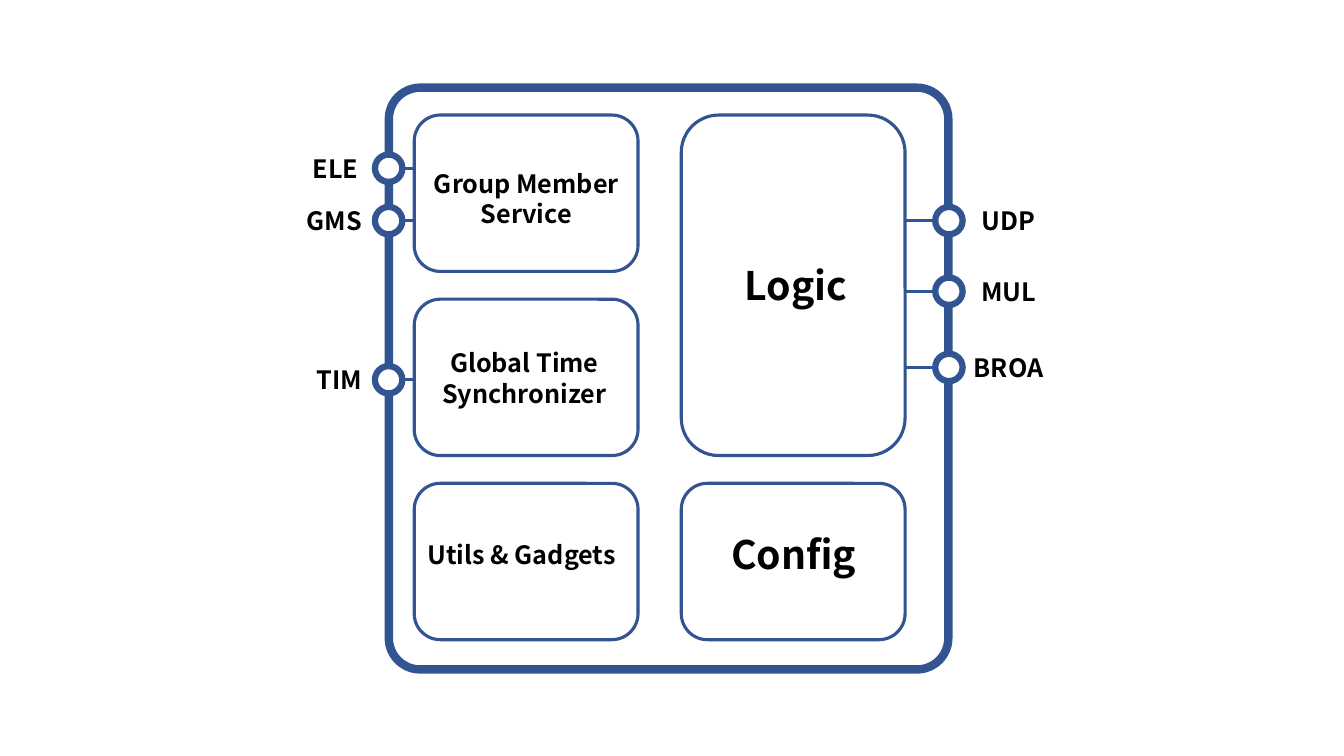
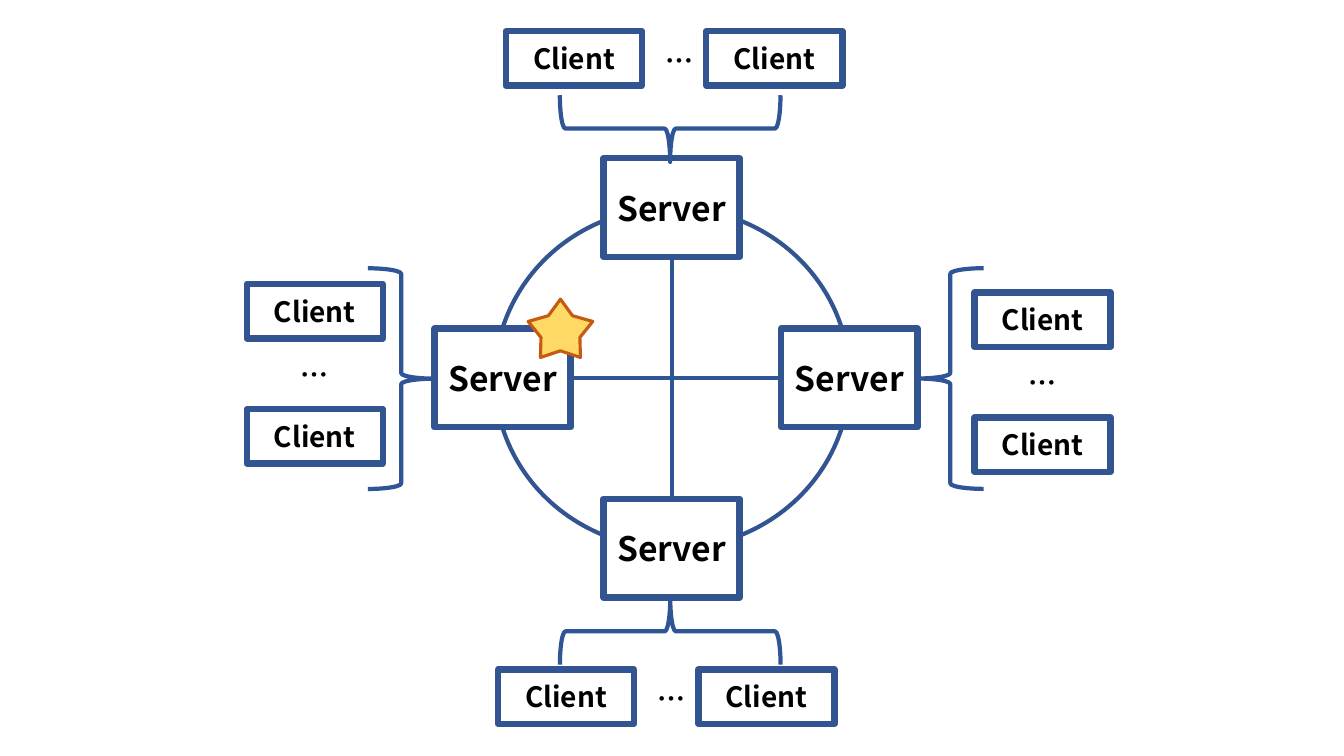
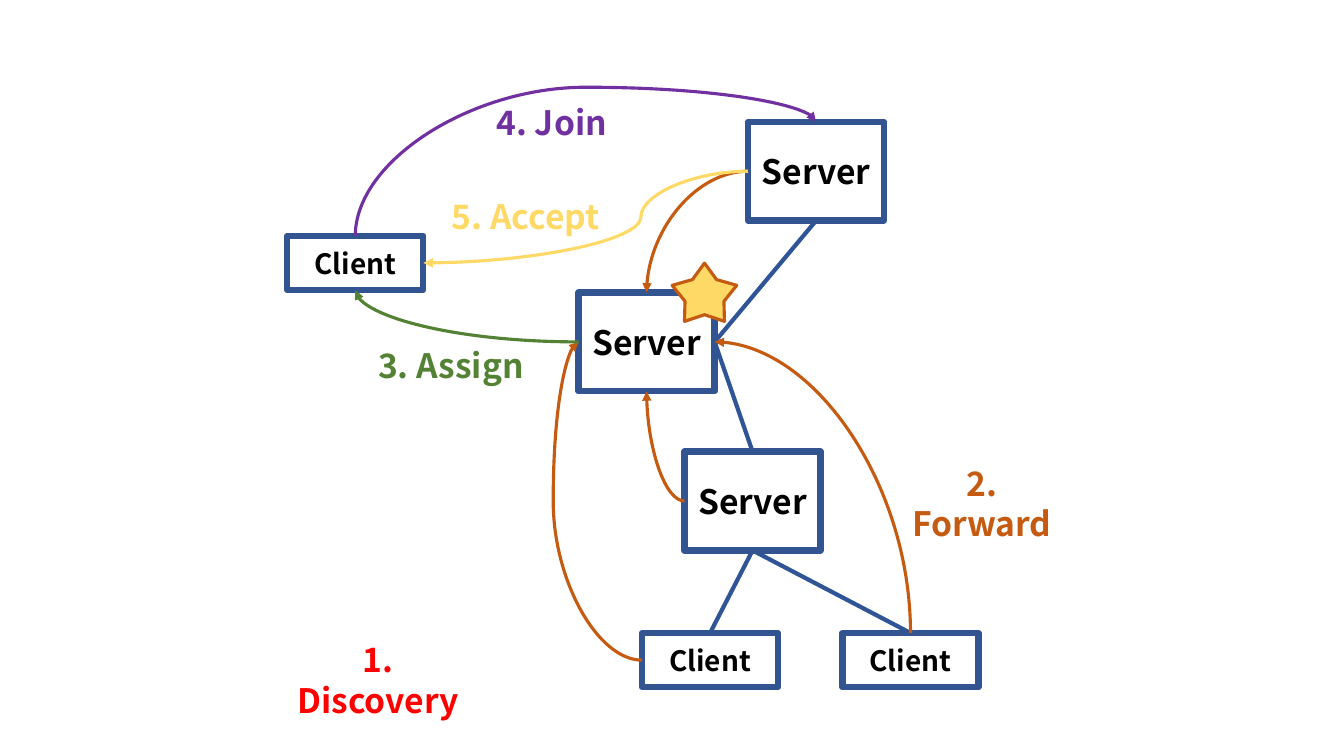
from dataclasses import dataclass
from typing import NamedTuple, Optional

from pptx import Presentation
from pptx.dml.color import RGBColor
from pptx.enum.shapes import MSO_AUTO_SHAPE_TYPE as Kind, MSO_CONNECTOR as Link
from pptx.enum.text import MSO_ANCHOR as Anchor, MSO_AUTO_SIZE as AutoSize, PP_ALIGN as Align
from pptx.oxml.ns import qn
from pptx.oxml.xmlchemy import OxmlElement
from pptx.shapes.autoshape import Shape
from pptx.shapes.connector import Connector
from pptx.slide import Slide
from pptx.util import Cm, Pt


@dataclass(frozen=True)
class Theme:
    font: str = "Noto Sans CJK SC"
    outline: str = "325491"
    link: str = "2F5597"
    ink: str = "000000"
    paper: str = "FFFFFF"
    gold: str = "FFD966"
    rust: str = "C55A11"
    green: str = "548235"
    purple: str = "7030A0"
    red: str = "FF0000"
    small: float = 18
    client: float = 20
    server: float = 24
    large: float = 28
    thin: float = 2.25
    medium: float = 3
    thick: float = 4.5
    heavy: float = 6


THEME = Theme()


class Point(NamedTuple):
    x: float
    y: float


class Box(NamedTuple):
    x: float
    y: float
    w: float
    h: float

    @property
    def left(self) -> Point:
        return Point(self.x, self.y + self.h / 2)

    @property
    def right(self) -> Point:
        return Point(self.x + self.w, self.y + self.h / 2)

    @property
    def top(self) -> Point:
        return Point(self.x + self.w / 2, self.y)

    @property
    def bottom(self) -> Point:
        return Point(self.x + self.w / 2, self.y + self.h)


class Label(NamedTuple):
    text: str
    box: Box
    size: float
    color: str = THEME.ink


class Module(NamedTuple):
    column: int
    row: int
    rows: int
    label: Label


class Port(NamedTuple):
    name: str
    y: float
    label_x: float


class Clients(NamedTuple):
    first: Point
    step: Point
    dots: Box


class Curve(NamedTuple):
    start: Point
    end: Point
    color: str
    upward: bool = False
    bend: Optional[float] = None


def write(shape: Shape, text: str, size: float, color: str, **frame_format) -> None:
    frame = shape.text_frame
    for name, value in {"word_wrap": True, **frame_format}.items():
        setattr(frame, name, value)
    paragraph = frame.paragraphs[0]
    paragraph.alignment = Align.CENTER
    run = paragraph.add_run()
    run.text = text
    for name, value in {"name": THEME.font, "size": Pt(size), "bold": True}.items():
        setattr(run.font, name, value)
    run.font.color.rgb = RGBColor.from_string(color)
    east_asian = OxmlElement("a:ea")
    east_asian.set("typeface", THEME.font)
    run.font.fill
    run._r.get_or_add_rPr().append(east_asian)


def draw_shape(slide: Slide, kind: Kind, box: Box, width: float, color: str = THEME.outline,
               fill: Optional[str] = None, rotation: float = 0) -> Shape:
    shape = slide.shapes.add_shape(kind, *map(Cm, box))
    shape.shadow.inherit = False
    shape.rotation = rotation
    if fill:
        shape.fill.solid()
        shape.fill.fore_color.rgb = RGBColor.from_string(fill)
    else:
        shape.fill.background()
    shape.line.color.rgb = RGBColor.from_string(color)
    shape.line.width = Pt(width)
    return shape


def draw_label(slide: Slide, label: Label) -> None:
    write(slide.shapes.add_textbox(*map(Cm, label.box)), label.text, label.size, label.color,
          auto_size=AutoSize.SHAPE_TO_FIT_TEXT)


def draw_connector(slide: Slide, kind: Link, start: Point, end: Point, width: float,
                   color: str = THEME.link) -> Connector:
    connector = slide.shapes.add_connector(kind, *map(Cm, (*start, *end)))
    connector.line.color.rgb = RGBColor.from_string(color)
    connector.line.width = Pt(width)
    connector.element.spPr.append(OxmlElement("a:effectLst"))
    return connector


def draw_line(slide: Slide, start: Point, end: Point, width: float = THEME.medium) -> None:
    draw_connector(slide, Link.STRAIGHT, start, end, width)


def draw_curve(slide: Slide, curve: Curve) -> None:
    dx, dy = curve.end.x - curve.start.x, curve.end.y - curve.start.y
    w, h = (abs(dy), abs(dx)) if curve.upward else (abs(dx), abs(dy))
    x = (curve.start.x + curve.end.x - w) / 2
    y = (curve.start.y + curve.end.y - h) / 2
    connector = draw_connector(slide, Link.CURVE, Point(x, y), Point(x + w, y + h),
                               THEME.thin, curve.color)
    properties = connector.element.spPr
    frame = properties.find(qn("a:xfrm"))
    frame.set("rot", str((270 if curve.upward else 180) * 60000))
    if (dx < 0) if curve.upward else (dy > 0):
        frame.set("flipV", "1")
    geometry = properties.find(qn("a:prstGeom"))
    if curve.bend is None:
        geometry.set("prst", "curvedConnector2")
    else:
        guide = OxmlElement("a:gd")
        guide.set("name", "adj1")
        guide.set("fmla", f"val {round(curve.bend * 100000)}")
        geometry.find(qn("a:avLst")).append(guide)
    arrow = OxmlElement("a:tailEnd")
    arrow.set("type", "triangle")
    properties.find(qn("a:ln")).append(arrow)


def server_box(x: float, y: float) -> Box:
    return Box(x, y, 3.43, 2.49)


def client_box(x: float, y: float) -> Box:
    return Box(x, y, 3.43, 1.37)


def draw_server(slide: Slide, box: Box) -> None:
    write(draw_shape(slide, Kind.RECTANGLE, box, THEME.thick, fill=THEME.paper),
          "Server", THEME.server, THEME.ink, vertical_anchor=Anchor.MIDDLE)


def draw_client(slide: Slide, box: Box) -> None:
    write(draw_shape(slide, Kind.RECTANGLE, box, THEME.thick),
          "Client", THEME.client, THEME.ink, vertical_anchor=Anchor.MIDDLE)


def draw_leader_star(slide: Slide, x: float, y: float) -> None:
    star = draw_shape(slide, Kind.STAR_5_POINT, Box(x, y, 1.63, 1.47), THEME.thin,
                      THEME.rust, THEME.gold)
    star.adjustments[0] = 0.301


def draw_clients(slide: Slide, clients: Clients) -> None:
    first, step, dots = clients
    for index in range(2):
        draw_client(slide, client_box(first.x + index * step.x, first.y + index * step.y))
    ellipsis = slide.shapes.add_textbox(*map(Cm, dots))
    write(ellipsis, "…", THEME.client, THEME.ink, vertical_anchor=Anchor.MIDDLE)


def draw_port(slide: Slide, port: Port, ring_x: float, link_from: float, link_to: float) -> None:
    diameter = 0.69
    ring = Box(ring_x, port.y - diameter / 2, diameter, diameter)
    draw_shape(slide, Kind.OVAL, ring, THEME.thick, fill=THEME.paper)
    draw_line(slide, Point(link_from, port.y), Point(link_to, port.y), THEME.thin)
    draw_label(slide, Label(port.name, Box(port.label_x, port.y - 0.51, 3.3, 1.02), THEME.small))


def build_architecture(slide: Slide) -> None:
    frame = draw_shape(slide, Kind.ROUNDED_RECTANGLE, Box(9.8, 2.21, 14.1, 14.66), THEME.heavy)
    frame.adjustments[0] = 0.056

    columns, first_row, pitch, height, width = (10.44, 17.17), 2.9, 4.64, 3.94, 5.64
    modules = (
        Module(0, 0, 1, Label("Group Member Service", Box(10.46, 4.11, 5.61, 1.8), THEME.small)),
        Module(0, 1, 1, Label("Global Time Synchronizer", Box(10.41, 8.64, 5.61, 1.8), THEME.small)),
        Module(0, 2, 1, Label("Utils & Gadgets", Box(10.34, 13.46, 5.61, 1.02), THEME.small)),
        Module(1, 0, 2, Label("Logic", Box(17.25, 6.45, 5.61, 1.45), THEME.large)),
        Module(1, 2, 1, Label("Config", Box(17.2, 13.23, 5.61, 1.45), THEME.large)),
    )
    for module in modules:
        box = Box(columns[module.column], first_row + module.row * pitch, width,
                  height + (module.rows - 1) * pitch)
        draw_shape(slide, Kind.ROUNDED_RECTANGLE, box, THEME.thin)
        draw_label(slide, module.label)

    for port in (Port("ELE", 4.24, 6.81), Port("GMS", 5.56, 6.78), Port("TIM", 9.57, 6.91)):
        draw_port(slide, port, 9.45, 10.44, 10.16)
    for port in (Port("UDP", 5.56, 23.77), Port("MUL", 7.34, 23.77), Port("BROA", 9.26, 23.77)):
        draw_port(slide, port, 23.57, 23.57, 22.81)


def build_topology(slide: Slide) -> None:
    draw_shape(slide, Kind.OVAL, Box(12.47, 5.23, 8.94, 8.59), THEME.medium)
    west, east = server_box(10.95, 8.28), server_box(19.69, 8.28)
    north, south = server_box(15.21, 3.99), server_box(15.21, 12.57)
    for server in (west, north, south, east):
        draw_server(slide, server)

    braces = ((16.05, 0.46, 270), (9.27, 6.76, 180), (23.11, 6.76, 0), (16.05, 13.13, 90))
    for x, y, rotation in braces:
        draw_shape(slide, Kind.LEFT_BRACE, Box(x, y, 1.68, 5.56), THEME.medium, THEME.link,
                   rotation=rotation)
    draw_leader_star(slide, 13.31, 7.54)

    for x, y in ((6.22, 7.16), (24.56, 7.37)):
        draw_clients(slide, Clients(Point(x, y), Point(0, 3.15), client_box(x, y + 1.58)))
    for x, y in ((12.55, 16.87), (12.75, 0.79)):
        draw_clients(slide, Clients(Point(x, y), Point(5.05, 0),
                                    Box(x + 3.48, y + 0.05, 1.78, 1.37)))

    draw_line(slide, west.right, east.left)
    draw_line(slide, south.top, north.bottom)


def build_joining(slide: Slide) -> None:
    upper, leader, lower = server_box(18.85, 3.07), server_box(14.58, 7.37), server_box(17.25, 11.38)
    newcomer = client_box(7.24, 5.94)
    near_client, far_client = client_box(16.18, 15.95), client_box(21.23, 15.95)

    for start, end in (
        (upper.bottom, leader.right),
        (lower.bottom, far_client.top),
        (near_client.top, lower.bottom),
        (leader.right, lower.top),
    ):
        draw_line(slide, start, end)
    for server in (leader, upper, lower):
        draw_server(slide, server)
    draw_leader_star(slide, 16.94, 6.63)
    for client in (newcomer, far_client, near_client):
        draw_client(slide, client)

    for curve in (
        Curve(near_client.left, leader.left, THEME.rust, bend=1.4),
        Curve(far_client.top, leader.right, THEME.rust, upward=True),
        Curve(lower.left, leader.bottom, THEME.rust),
        Curve(upper.left, leader.top, THEME.rust),
        Curve(leader.left, newcomer.bottom, THEME.green),
        Curve(newcomer.top, upper.top, THEME.purple, upward=True, bend=1.304),
        Curve(upper.left, newcomer.right, THEME.gold, bend=0.33),
    ):
        draw_curve(slide, curve)

    for text, x, y, width, color in (
        ("1. Discovery", 6.86, 15.98, 5.33, THEME.red),
        ("2. Forward", 22.28, 11.53, 4.93, THEME.rust),
        ("3. Assign", 9.09, 8.56, 4.55, THEME.green),
        ("4. Join", 11.63, 2.44, 4.55, THEME.purple),
        ("5. Accept", 10.97, 4.8, 4.55, THEME.gold),
    ):
        draw_label(slide, Label(text, Box(x, y, width, 1.27), THEME.server, color))


def main() -> None:
    deck = Presentation()
    deck.slide_width, deck.slide_height = Cm(33.87), Cm(19.05)
    blank_layout = deck.slide_layouts[6]
    for build in (build_architecture, build_topology, build_joining):
        build(deck.slides.add_slide(blank_layout))
    deck.save("out.pptx")


main()
